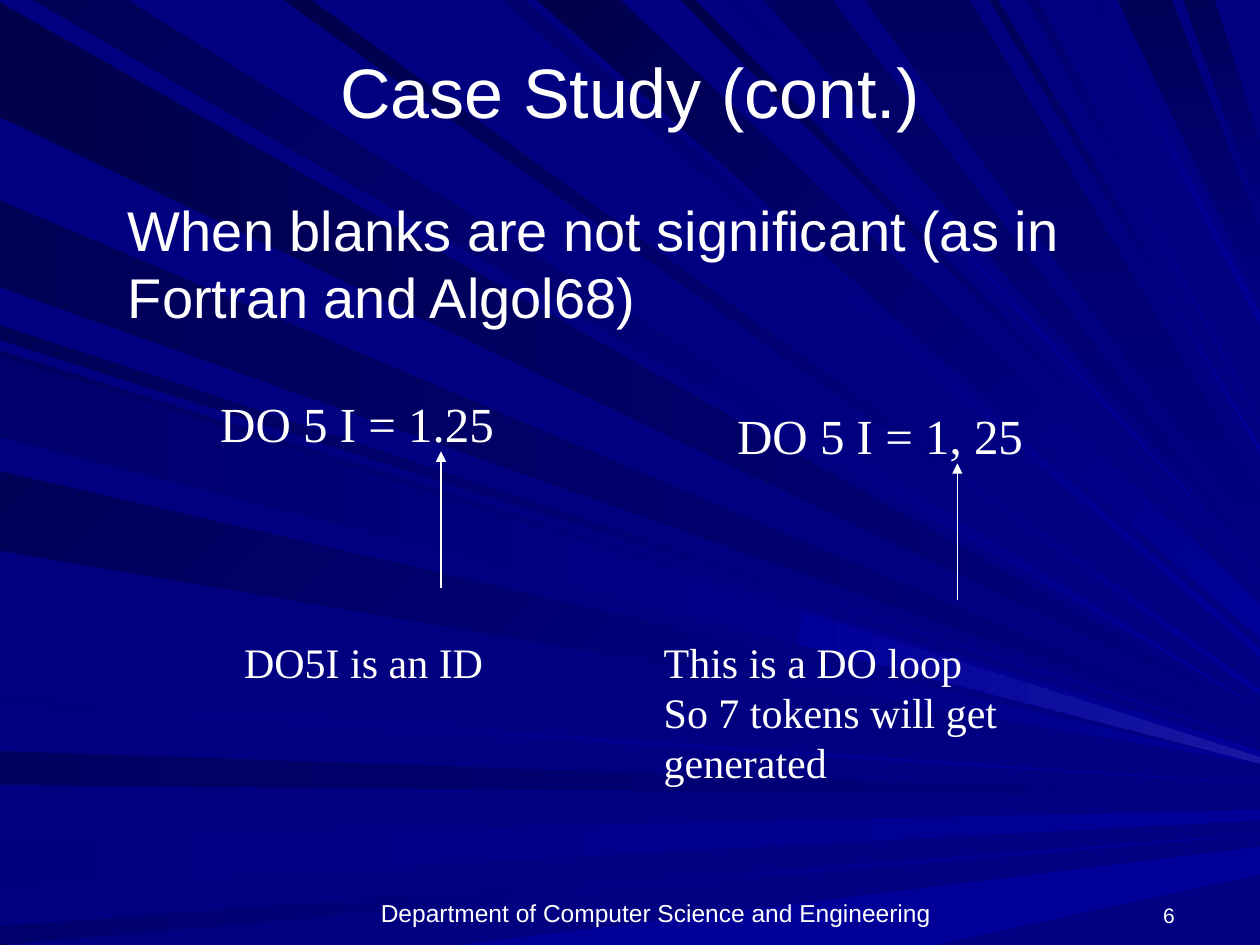
import pptx
import pptx.dml.color
import pptx.enum.shapes
import pptx.enum.text
import pptx.oxml
import pptx.oxml.ns
import pptx.util
from lxml import etree

Cm = pptx.util.Cm
Align = pptx.enum.text.PP_ALIGN
Anchor = pptx.enum.text.MSO_ANCHOR

COLOURS = {
    "text": "FFFFFF", "bullet": "86D1EC",
    "black": "00004B", "deep": "000056", "dark": "000061",
    "dim": "00006D", "soft": "00007E",
    "navy": "000080", "blue": "000099", "glow": "1717A2",
}

# The page measures 1000 by 750 grid units.
GRID_UNIT = Cm(25.4) / 1000
RIGHT, BOTTOM = 1000, 750

# Rays run from one edge of the page to its right edge, in layers from the back.
# Layer: edge, last colour, gradient angle, rays.
# Ray: first colour, start and end on the edge, one or two heights on the right.
RAY_LAYERS = [
    ("left", "navy", 0, [
        ("black", 2, 93, 569), ("dark", 596, 623, 631), ("deep", 159, 228, 584)]),
    ("left", "blue", 0, [
        ("soft", 665, 704, 643, 651), ("dim", 735, 750, 662), ("soft", 552, 560, 622)]),
    ("bottom", "blue", 0, [("blue", 364, 742, 672, 694)]),
    ("top", "blue", 45, [
        ("deep", 26, 101, 562), ("dim", 398, 416, 521, 515),
        ("black", 426, 492, 507, 479), ("black", 540, 552, 463)]),
    ("top", "navy", 90, [
        ("dark", 606, 661, 446), ("deep", 887, 930, 237, 183),
        ("deep", 939, 964, 167, 114), ("dark", 686, 770, 428, 390)]),
    ("left", "blue", 45, [
        ("deep", 258, 270, 589), ("dark", 278, 342, 596, 602), ("deep", 374, 437, 606)]),
    ("top", "blue", 45, [
        ("black", 225, 247, 552, 547), ("soft", 577, 588, 454),
        ("deep", 785, 792, 360, 354), ("dim", 815, 824, 336),
        ("soft", 865, 872, 258, 249)]),
    ("left", "blue", 0, [("dim", 283, 347, 601, 606)]),
]
GLOW_CORNERS = [(637, 485), (RIGHT, 601), (RIGHT, 606), (633, 511)]


def rgb(name):
    return pptx.dml.color.RGBColor.from_string(COLOURS[name])


def edge_point(edge, distance):
    return {"left": (0, distance), "top": (distance, 0), "bottom": (distance, BOTTOM)}[edge]


def add_ray(page, first, last, angle, corners):
    builder = page.shapes.build_freeform(*corners[0], scale=GRID_UNIT)
    builder.add_line_segments(corners[1:], close=True)
    ray = builder.convert_to_shape()
    ray.shadow.inherit = False
    ray.line.fill.background()
    ray.fill.gradient()
    ray.fill.gradient_angle = 360 - angle  # counted anticlockwise
    for stop, name in zip(ray.fill.gradient_stops, (first, last)):
        stop.color.rgb = rgb(name)


def add_background(page):
    page.background.fill.solid()
    page.background.fill.fore_color.rgb = rgb("navy")
    for edge, last, angle, rays in RAY_LAYERS:
        for first, start, end, *heights in rays:
            corners = [edge_point(edge, start), edge_point(edge, end)]
            corners += [(RIGHT, height) for height in reversed(heights)]
            add_ray(page, first, last, angle, corners)
    add_ray(page, "blue", "glow", 0, GLOW_CORNERS)


def write_text(box, place, lines, size, font="Arial", align=Align.LEFT, **frame_values):
    """Place a box (left, top, width, height in cm) and fill it with lines."""
    for name, value in zip(("left", "top", "width", "height"), place):
        setattr(box, name, Cm(value))
    frame = box.text_frame
    for name, value in ({"word_wrap": True} | frame_values).items():
        setattr(frame, name, value)
    frame.text = "\n".join(lines)
    for para in frame.paragraphs:
        para.alignment = align
        for name, value in {"name": font, "size": pptx.util.Pt(size)}.items():
            setattr(para.font, name, value)
        para.font.color.rgb = rgb("text")


def add_text(page, place, lines, size, **values):
    box = page.shapes.add_textbox(0, 0, 0, 0)
    write_text(box, place, lines, size, **values)


def add_note(page, place, lines, size):
    add_text(page, place, lines, size, font="Times New Roman", word_wrap=False,
             auto_size=pptx.enum.text.MSO_AUTO_SIZE.SHAPE_TO_FIT_TEXT)


def add_bullet(para, symbol, indent):
    props = para._p.get_or_add_pPr()
    props.set("marL", str(Cm(indent)))
    props.set("indent", str(-Cm(indent)))
    colour = etree.SubElement(props, pptx.oxml.ns.qn("a:buClr"))
    etree.SubElement(colour, pptx.oxml.ns.qn("a:srgbClr"), val=COLOURS["bullet"])
    etree.SubElement(props, pptx.oxml.ns.qn("a:buSzPct"), val="90000")
    etree.SubElement(props, pptx.oxml.ns.qn("a:buChar"), char=symbol)


def add_bullet_text(page, place, line, size):
    box = page.shapes.add_textbox(0, 0, 0, 0)
    add_bullet(box.text_frame.paragraphs[0], "✂", 1.7)
    write_text(box, place, [line], size)


def add_up_arrow(page, x, top, bottom):
    arrow = page.shapes.add_connector(
        pptx.enum.shapes.MSO_CONNECTOR.STRAIGHT, Cm(x), Cm(top), Cm(x), Cm(bottom))
    arrow.line.width = pptx.util.Pt(1)
    arrow.line.color.rgb = rgb("text")
    line = arrow.element.spPr.find(pptx.oxml.ns.qn("a:ln"))
    etree.SubElement(line, pptx.oxml.ns.qn("a:headEnd"), type="triangle")
    etree.SubElement(arrow.element.spPr, pptx.oxml.ns.qn("a:effectLst"))


def main():
    deck = pptx.Presentation()
    deck.slide_width, deck.slide_height = Cm(25.4), Cm(19.05)
    page = deck.slides.add_slide(deck.slide_layouts[5])
    add_background(page)

    add_text(page, (4.65, 17.98, 17.15, 0.85),
             ["Department of Computer Science and Engineering"], 14,
             align=Align.CENTER, vertical_anchor=Anchor.BOTTOM)
    add_text(page, (22.23, 17.98, 1.7, 0.85), ["6"], 12,
             align=Align.RIGHT, vertical_anchor=Anchor.BOTTOM)

    title = page.shapes.title
    title.element.getparent().append(title.element)  # in front of the rays
    write_text(title, (1.27, 0.76, 22.86, 2.12), ["Case Study (cont.)"], 40,
               align=Align.CENTER, vertical_anchor=Anchor.MIDDLE)
    add_bullet_text(page, (2.33, 3.81, 21.59, 13.97),
                    "When blanks are not significant (as in Fortran and Algol68)", 32)

    add_note(page, (4.19, 7.8, 6.02, 1.45), ["DO 5 I = 1.25"], 28)
    add_up_arrow(page, 8.89, 9.1, 11.85)
    add_note(page, (4.67, 12.7, 5.33, 1.27), ["DO5I is an ID"], 24)

    add_note(page, (14.61, 8.05, 6.27, 1.45), ["DO 5 I = 1, 25"], 28)
    add_up_arrow(page, 19.3, 9.34, 12.1)
    add_note(page, (13.13, 12.7, 10.72, 2.29),
             ["This is a DO loop", "So 7 tokens will get generated"], 24)

    deck.save("out.pptx")


if __name__ == "__main__":
    main()
